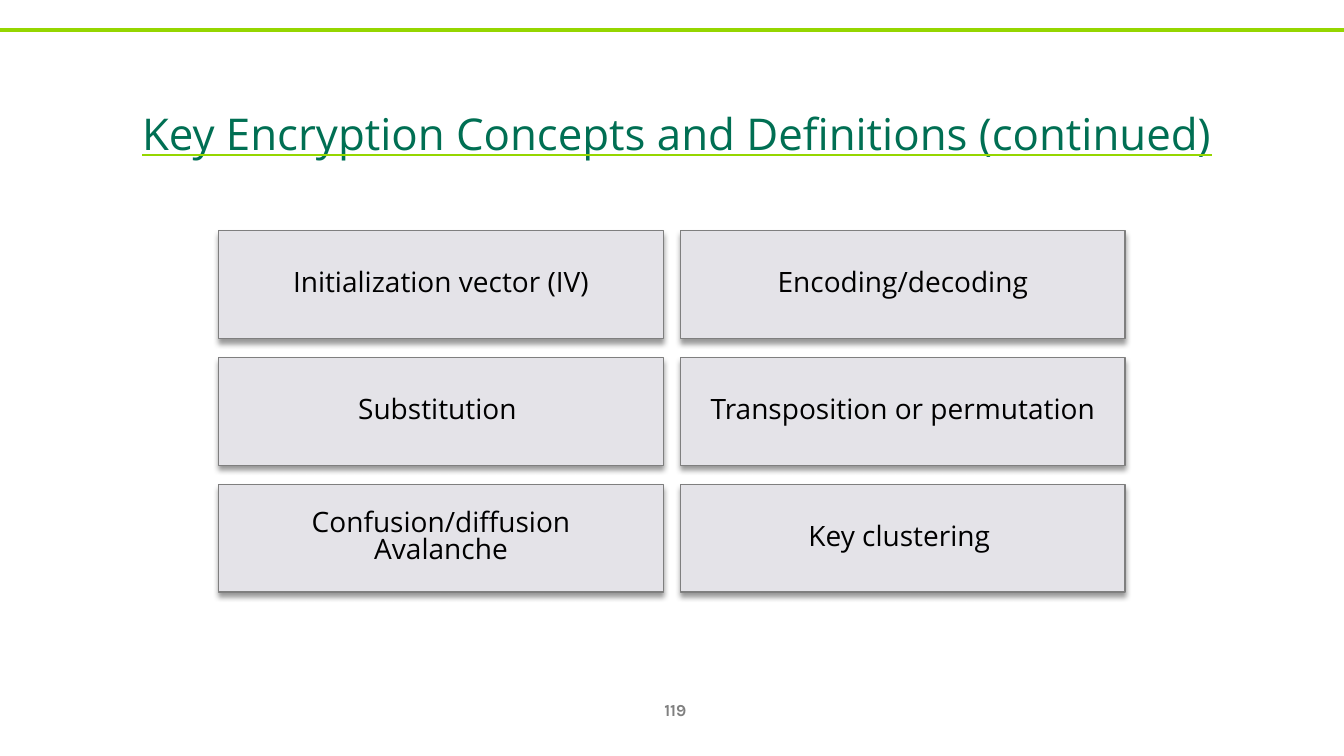
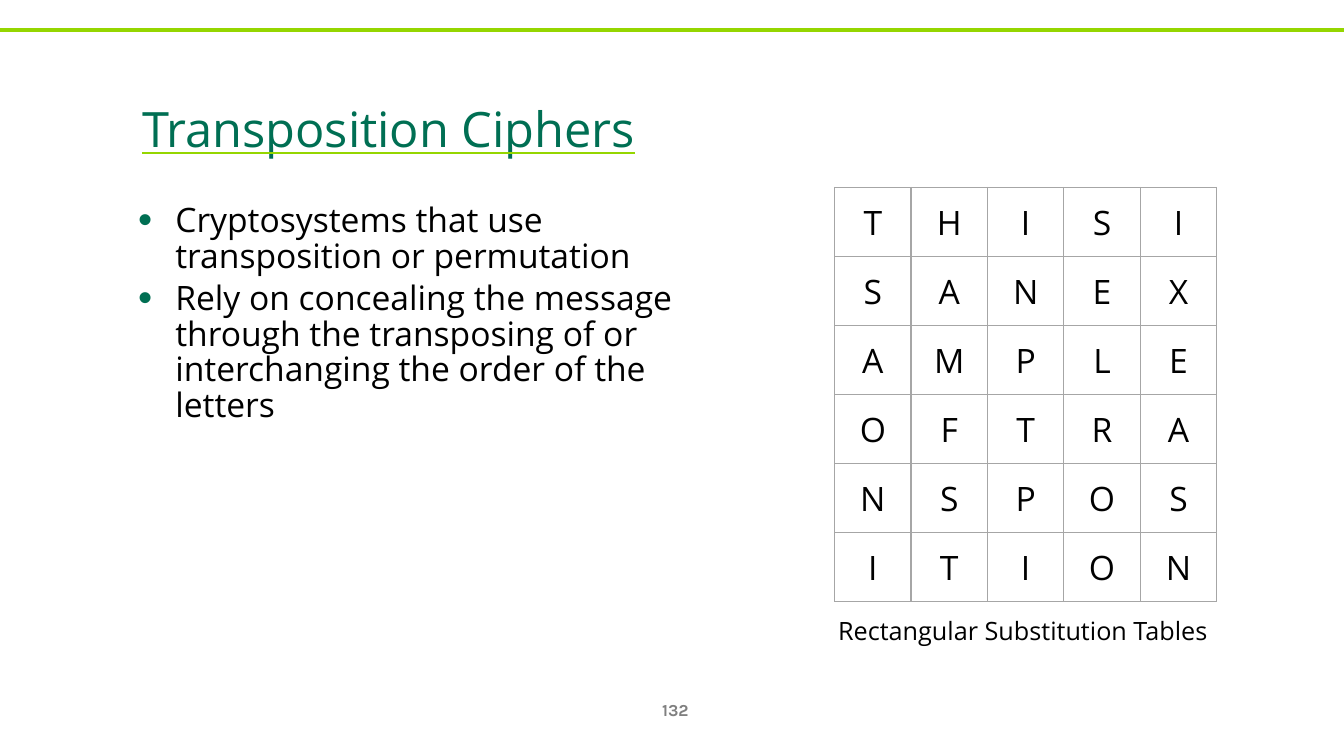
from lxml import etree
from pptx import Presentation
from pptx.dml.color import RGBColor
from pptx.enum.shapes import MSO_CONNECTOR, MSO_SHAPE
from pptx.enum.text import MSO_ANCHOR, PP_ALIGN
from pptx.oxml import parse_xml
from pptx.oxml.ns import nsdecls, qn
from pptx.util import Inches, Pt

STRAIGHT = MSO_CONNECTOR.STRAIGHT
RECTANGLE = MSO_SHAPE.RECTANGLE
TOP, MIDDLE = MSO_ANCHOR.TOP, MSO_ANCHOR.MIDDLE
LEFT, CENTER = PP_ALIGN.LEFT, PP_ALIGN.CENTER

LIME = RGBColor(0x95, 0xD6, 0x00)
GREEN = RGBColor(0x00, 0x6F, 0x53)
BLACK = RGBColor(0x00, 0x00, 0x00)
WHITE = RGBColor(0xFF, 0xFF, 0xFF)
GRAY = RGBColor(0x80, 0x80, 0x80)
CARD_FILL = RGBColor(0xE4, 0xE3, 0xE8)
CARD_LINE = RGBColor(0x7F, 0x7F, 0x7F)
CELL_LINE = RGBColor(0xA6, 0xA6, 0xA6)

BODY_FONT = "Open Sans"
NUMBER_FORMAT = {"name": "Karla", "size": Pt(12), "bold": True}
CARD_FORMAT = {"name": BODY_FONT, "size": Pt(20)}
BODY_FORMAT = {"name": BODY_FONT, "size": Pt(24)}
CAPTION_FORMAT = {"name": BODY_FONT, "size": Pt(18)}


def element(xml):
    return parse_xml(f"<a:root {nsdecls('a')}>{xml}</a:root>")[0]


def apply(target, values):
    for name, value in values.items():
        setattr(target, name, value)


class Deck:
    def __init__(self):
        self.presentation = Presentation()
        self.presentation.slide_width = Inches(13.33)
        self.presentation.slide_height = Inches(7.5)
        self.slide = None

    def area(self, left, top, width, height):
        across = self.presentation.slide_width / 100
        down = self.presentation.slide_height / 100
        return [round(share * unit) for share, unit in
                zip((left, top, width, height), (across, down, across, down))]

    def start(self, number):
        layout = self.presentation.slide_layouts[6]
        self.slide = self.presentation.slides.add_slide(layout)
        left, top, width, _ = self.area(0, 4, 100, 0)
        rule = self.slide.shapes.add_connector(STRAIGHT, left, top, left + width, top)
        rule.line.color.rgb = LIME
        rule.line.width = Pt(3)
        etree.SubElement(rule._element.spPr, qn("a:effectLst"))
        self.text(number, (47.93, 91.2, 4.65, 5.33), NUMBER_FORMAT, GRAY, CENTER, MIDDLE)

    def set_text(self, paragraph, text, format_values, color, **layout):
        paragraph.text = text
        apply(paragraph, layout)
        for run in paragraph.runs:
            apply(run.font, format_values)
            run.font.color.rgb = color

    def text(self, text, shares, format_values, color, alignment=LEFT, anchor=TOP, **layout):
        shape = self.slide.shapes.add_textbox(*self.area(*shares))
        apply(shape.text_frame, {"word_wrap": True, "vertical_anchor": anchor})
        paragraph = shape.text_frame.paragraphs[0]
        self.set_text(paragraph, text, format_values, color, alignment=alignment, **layout)
        return paragraph

    def title(self, text, size, width, **layout):
        format_values = {"name": BODY_FONT, "size": Pt(size), "underline": True}
        paragraph = self.text(text, (9.83, 8.13, width, 16.67), format_values, GREEN,
                              anchor=MIDDLE, **layout)
        properties = paragraph.runs[0]._r.get_or_add_rPr()
        properties.set("baseline", "12000")
        properties.find(qn("a:latin")).addprevious(element(
            f'<a:uFill><a:solidFill><a:srgbClr val="{LIME}"/></a:solidFill></a:uFill>'))

    def card(self, text, shares):
        shape = self.slide.shapes.add_shape(RECTANGLE, *self.area(*shares))
        shape.fill.solid()
        shape.fill.fore_color.rgb = CARD_FILL
        shape.line.color.rgb = CARD_LINE
        shape.line.width = Pt(1)
        shape._element.spPr.append(element(
            f'<a:effectLst><a:outerShdw blurRad="{Pt(4)}" dist="{Pt(3)}" dir="5400000" '
            'rotWithShape="0"><a:srgbClr val="000000"><a:alpha val="40000"/></a:srgbClr>'
            '</a:outerShdw></a:effectLst>'))
        sides = ("left", "top", "right", "bottom")
        apply(shape.text_frame, {f"margin_{side}": Inches(0.15) for side in sides})
        apply(shape.text_frame, {"word_wrap": True, "vertical_anchor": MIDDLE})
        self.set_text(shape.text_frame.paragraphs[0], text, CARD_FORMAT, BLACK,
                      alignment=CENTER, line_spacing=0.79)

    def cards(self, rows, left, top, width, height, column_gap, row_gap):
        for row, texts in enumerate(rows):
            for column, text in enumerate(texts):
                self.card(text, (left + column * (width + column_gap),
                                 top + row * (height + row_gap), width, height))

    def bullets(self, texts, shares):
        shape = self.slide.shapes.add_textbox(*self.area(*shares))
        frame = shape.text_frame
        frame.word_wrap = True
        for index, text in enumerate(texts):
            paragraph = frame.add_paragraph() if index else frame.paragraphs[0]
            properties = paragraph._p.get_or_add_pPr()
            properties.set("marL", str(Inches(0.37)))
            properties.set("indent", str(-Inches(0.37)))
            for xml in (f'<a:buClr><a:srgbClr val="{GREEN}"/></a:buClr>',
                        '<a:buSzPct val="120000"/>',
                        '<a:buFont typeface="Arial"/>',
                        '<a:buChar char="•"/>'):
                properties.append(element(xml))
            self.set_text(paragraph, text, BODY_FORMAT, BLACK, line_spacing=0.88,
                          space_before=Pt(4.8 if index else 0))

    def letter_table(self, words, shares):
        left, top, width, height = self.area(*shares)
        frame = self.slide.shapes.add_table(len(words), len(words[0]), left, top, width, height)
        table = frame.table
        apply(table, {"first_row": False, "horz_banding": False})
        for row, word in enumerate(words):
            for column, letter in enumerate(word):
                cell = table.cell(row, column)
                cell.fill.solid()
                cell.fill.fore_color.rgb = WHITE
                cell.vertical_anchor = MIDDLE
                self.set_text(cell.text_frame.paragraphs[0], letter, BODY_FORMAT, BLACK,
                              alignment=CENTER)
                properties = cell._tc.get_or_add_tcPr()
                for position, side in enumerate("LRTB"):
                    properties.insert(position, element(
                        f'<a:ln{side} w="{Pt(1)}"><a:solidFill><a:srgbClr val="{CELL_LINE}"/>'
                        f'</a:solidFill></a:ln{side}>'))


def main():
    deck = Deck()

    deck.start("119")
    deck.title("Key Encryption Concepts and Definitions (continued)", 54, 81.75,
               line_spacing=1.1, space_after=Pt(18))
    deck.cards([("Initialization vector (IV)", "Encoding/decoding"),
                ("Substitution ", "Transposition or permutation"),
                ("Confusion/diffusion\nAvalanche", "Key clustering ")],
               left=16.28, top=30.53, width=33.08, height=14.27,
               column_gap=1.28, row_gap=2.5)

    deck.start("132")
    deck.title("Transposition Ciphers", 60, 86.25)
    deck.bullets(["Cryptosystems that use transposition or permutation",
                  "Rely on concealing the message through the transposing of or "
                  "interchanging the order of the letters"],
                 (9.53, 26.4, 45.38, 63.47))
    deck.letter_table(["THISI", "SANEX", "AMPLE", "OFTRA", "NSPOS", "ITION"],
                      (62.1, 24.8, 28.43, 54.8))
    deck.text("Rectangular Substitution Tables ", (61.2, 80.8, 30.3, 6.27),
              CAPTION_FORMAT, BLACK, CENTER)

    deck.presentation.save("out.pptx")


if __name__ == "__main__":
    main()
